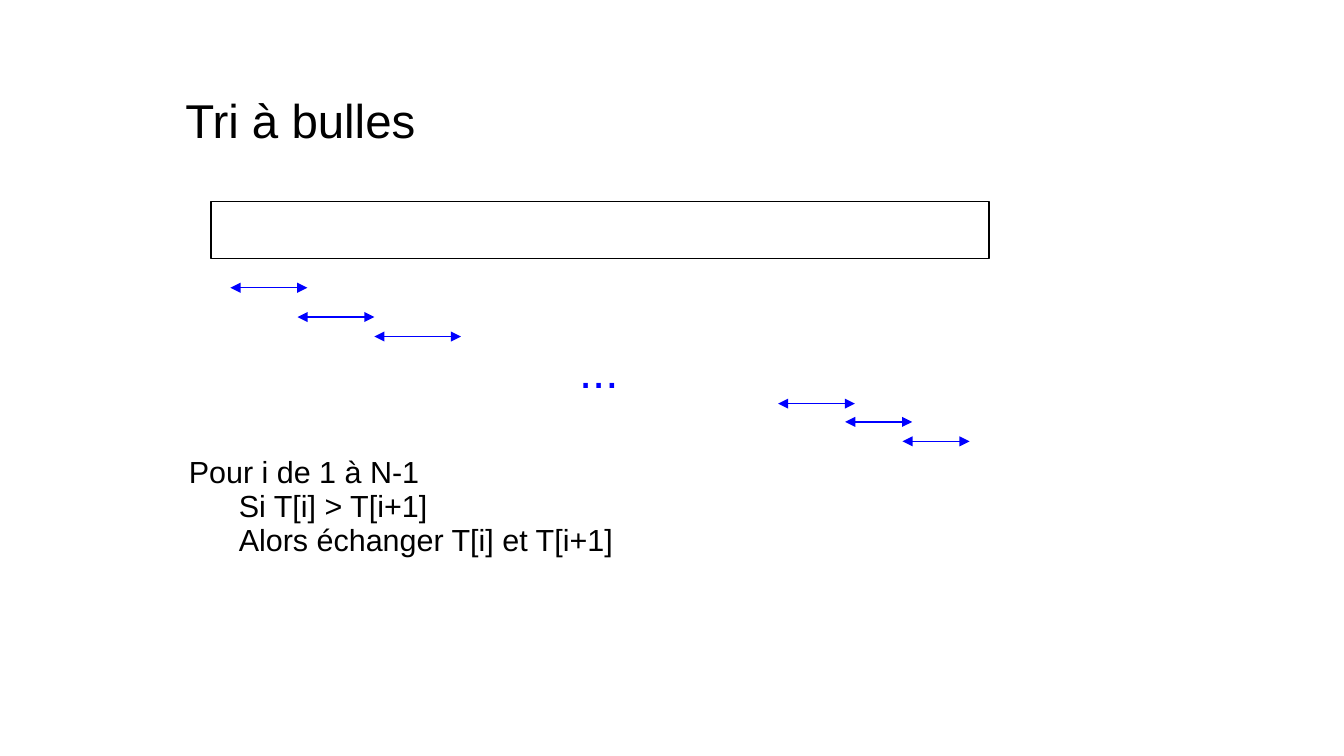
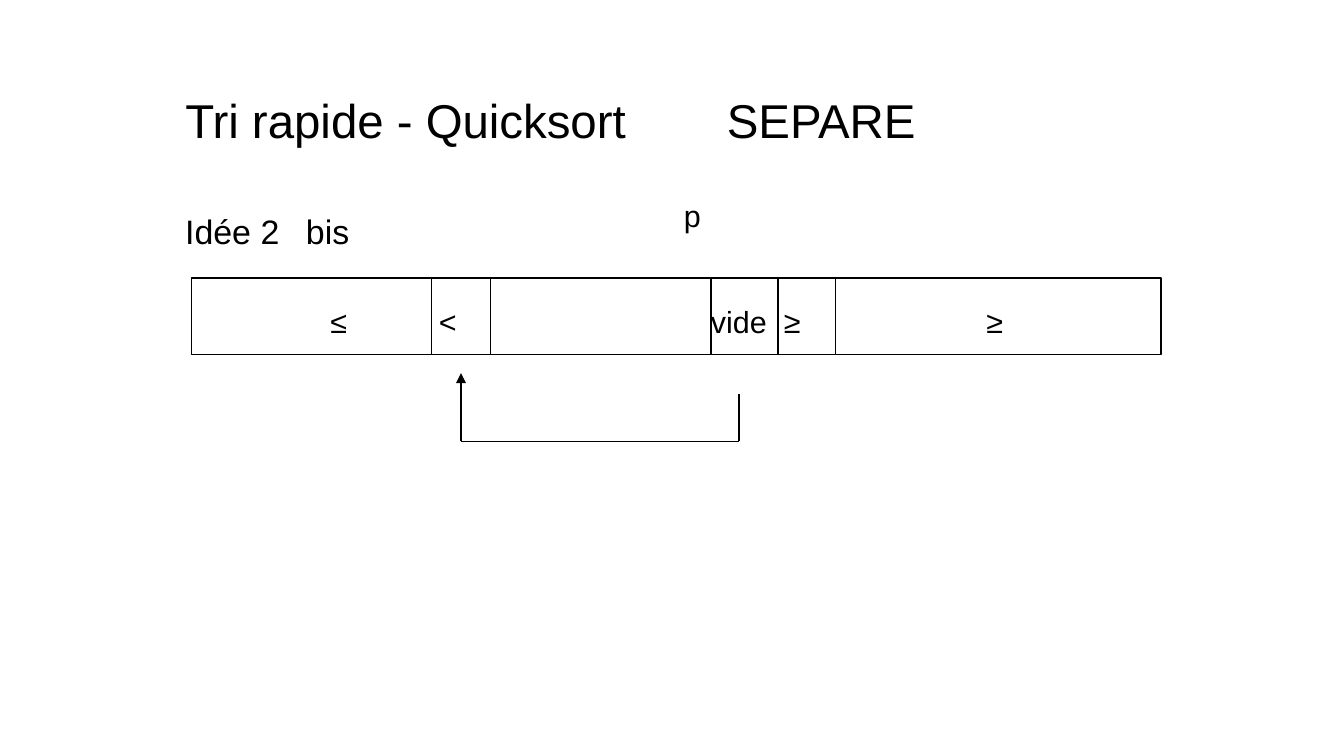
from dataclasses import dataclass
from itertools import pairwise

from lxml import etree
from pptx import Presentation
from pptx.dml.color import RGBColor
from pptx.enum import shapes, text
from pptx.oxml.ns import qn
from pptx.util import Inches, Pt

BLACK = RGBColor(0x00, 0x00, 0x00)
WHITE = RGBColor(0xFF, 0xFF, 0xFF)
BLUE = RGBColor(0x00, 0x00, 0xFF)
FONT = "Arial"
TITLE_SIZE = 28
IDEA_SIZE = 20
BODY_SIZE = 18
LINE_SPACING = 0.93
LINE_WIDTH = Pt(0.75)


@dataclass(frozen=True)
class Area:
    left: float
    top: float
    width: float
    height: float

    def lengths(self) -> tuple:
        return tuple(Inches(n) for n in (self.left, self.top, self.width, self.height))


@dataclass(frozen=True)
class Span:
    """Horizontal double arrow below the array."""
    left: float
    right: float
    y: float


TITLE_AREA = Area(1.42, 0.71, 7.72, 0.6)

SWAPS = (
    Span(1.89, 2.52, 2.36),
    Span(2.44, 3.07, 2.6),
    Span(3.07, 3.78, 2.76),
    Span(6.38, 7.01, 3.31),
    Span(6.93, 7.48, 3.46),
    Span(7.4, 7.95, 3.62),
)

PARTITION = Area(1.57, 2.28, 7.95, 0.63)
DIVIDERS = (3.54, 4.02, 5.83, 6.38, 6.85)
MOVE_PATH = ((6.06, 3.23), (6.06, 3.62), (3.78, 3.62), (3.78, 3.06))


def fill_frame(frame, words: str, size: float, color: RGBColor = BLACK,
               tabs: tuple = (), top_inset: float = 0.07) -> None:
    """Set the text, with tab stops in inches from the left inset."""
    frame.text = words
    frame.word_wrap = True
    frame.auto_size = text.MSO_AUTO_SIZE.NONE
    frame.vertical_anchor = text.MSO_ANCHOR.TOP
    frame.margin_left = frame.margin_right = Inches(0.1)
    frame.margin_top, frame.margin_bottom = Inches(top_inset), Inches(0.05)
    for para in frame.paragraphs:
        para.alignment = text.PP_ALIGN.LEFT
        para.line_spacing = LINE_SPACING
        para.space_before = Pt(0)
        if tabs:
            stops = etree.SubElement(para._p.get_or_add_pPr(), qn("a:tabLst"))
            for stop in tabs:
                etree.SubElement(stops, qn("a:tab"), pos=str(Inches(stop)), algn="l")
        for run in para.runs:
            run.font.name = FONT
            run.font.size = Pt(size)
            run.font.bold = False
            run.font.color.rgb = color


def add_titled_page(deck, words: str, tabs: tuple = ()):
    page = deck.slides.add_slide(deck.slide_layouts[5])
    title = page.shapes.title
    title.left, title.top, title.width, title.height = TITLE_AREA.lengths()
    fill_frame(title.text_frame, words, TITLE_SIZE, tabs=tabs, top_inset=0.08)
    return page


def add_text(page, area: Area, words: str, size: float, **options):
    box = page.shapes.add_textbox(*area.lengths())
    fill_frame(box.text_frame, words, size, **options)
    return box


def add_array(page, area: Area) -> None:
    array = page.shapes.add_shape(shapes.MSO_SHAPE.RECTANGLE, *area.lengths())
    array.shadow.inherit = False
    array.fill.solid()
    array.fill.fore_color.rgb = WHITE
    array.line.color.rgb = BLACK
    array.line.width = LINE_WIDTH


def add_line(page, start: tuple, end: tuple, color: RGBColor = BLACK,
             arrows: tuple = ()) -> None:
    """Draw a straight line; arrows holds "headEnd" and "tailEnd" as needed."""
    line = page.shapes.add_connector(
        shapes.MSO_CONNECTOR.STRAIGHT, *(Inches(n) for n in (*start, *end)))
    line.line.color.rgb = color
    line.line.width = LINE_WIDTH
    for arrow in arrows:
        etree.SubElement(line.get_or_add_ln(), qn(f"a:{arrow}"), type="triangle")
    etree.SubElement(line._element.spPr, qn("a:effectLst"))


def build_bubble_sort(deck) -> None:
    page = add_titled_page(deck, "Tri à bulles")
    add_array(page, Area(1.73, 1.65, 6.38, 0.47))
    code = add_text(
        page, Area(1.45, 3.67, 6.26, 0.95),
        "Pour i de 1 à N-1\nSi T[i] > T[i+1]\nAlors échanger T[i] et T[i+1]",
        BODY_SIZE)
    for para in code.text_frame.paragraphs[1:]:
        para._p.get_or_add_pPr().set("marL", str(Inches(0.41)))
    for swap in SWAPS:
        add_line(page, (swap.left, swap.y), (swap.right, swap.y), BLUE,
                 ("headEnd", "tailEnd"))
    add_text(page, Area(4.65, 2.76, 0.6, 0.69), "...", TITLE_SIZE,
             color=BLUE, top_inset=0.08)


def build_quicksort(deck) -> None:
    page = add_titled_page(deck, "Tri rapide - Quicksort\tSEPARE", tabs=(4.44,))
    add_text(page, Area(1.42, 1.68, 3, 0.45), "Idée 2\tbis", IDEA_SIZE,
             tabs=(0.99,), top_inset=0.08)
    add_array(page, PARTITION)
    add_text(page, Area(PARTITION.left, 2.44, PARTITION.width, 0.4),
             "\t≤\t<\tvide\t≥\t≥", BODY_SIZE, tabs=(1.04, 1.93, 4.16, 4.76, 6.42))
    add_text(page, Area(5.51, 1.57, 0.5, 0.38), "p", BODY_SIZE)
    for x in DIVIDERS:
        add_line(page, (x, PARTITION.top), (x, PARTITION.top + PARTITION.height))
    for start, end in pairwise(MOVE_PATH):
        add_line(page, start, end,
                 arrows=("tailEnd",) if end == MOVE_PATH[-1] else ())


def main() -> None:
    deck = Presentation()
    deck.slide_width, deck.slide_height = Inches(11.02), Inches(6.2)
    build_bubble_sort(deck)
    build_quicksort(deck)
    deck.save("out.pptx")


if __name__ == "__main__":
    main()
